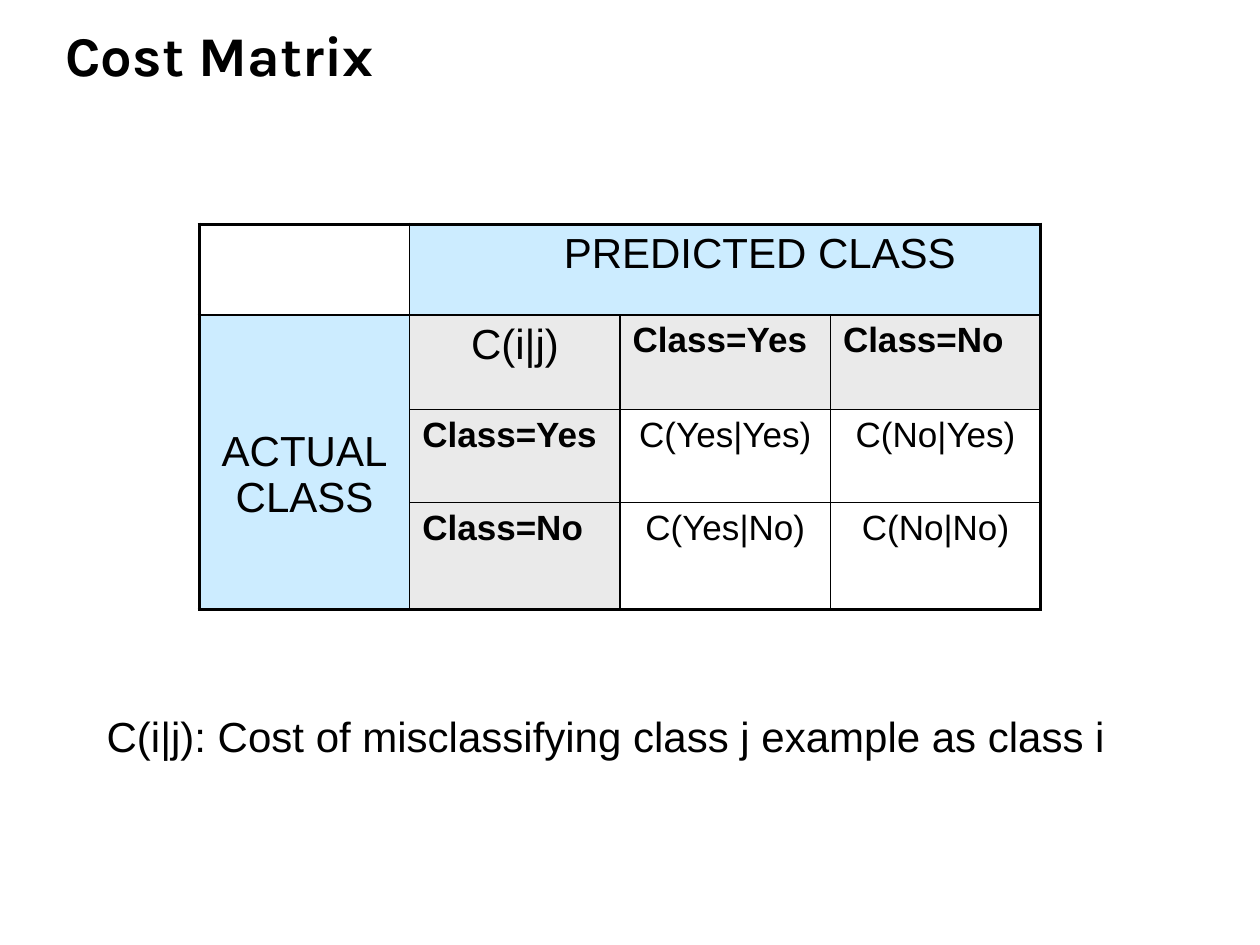
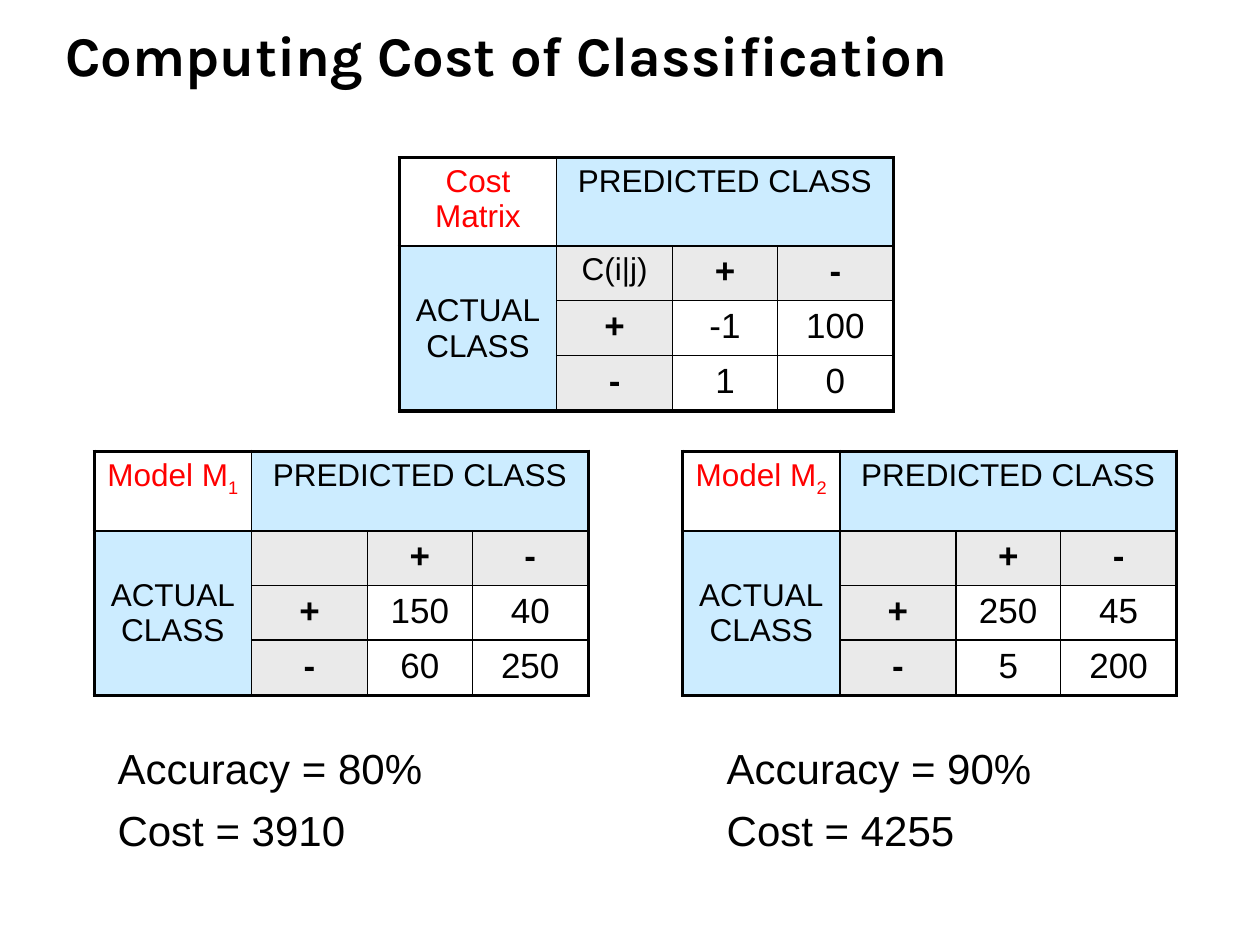
from lxml import etree
from pptx import Presentation
from pptx.dml.color import RGBColor
from pptx.enum.text import MSO_ANCHOR, PP_ALIGN
from pptx.oxml.ns import qn
from pptx.util import Cm, Pt

LEFT, CENTER = PP_ALIGN.LEFT, PP_ALIGN.CENTER
TOP, MIDDLE, BOTTOM = MSO_ANCHOR.TOP, MSO_ANCHOR.MIDDLE, MSO_ANCHOR.BOTTOM
COLORS = {"text": "000000", "corner": "FF0000", "head": "CCECFF", "label": "EAEAEA"}
OUTER, INNER = Pt(2.25), Pt(1)


def add_run(p, text, size, color="text", bold=False, font="Arial"):
    r = p.add_run()
    r.text = text
    r.font.name = font
    r.font.size = Pt(size)
    r.font.bold = bold
    r.font.color.rgb = RGBColor.from_string(COLORS[color])
    return r


def add_box(s, left, top, width, height):
    """Add an empty wrapping text box, measured in cm, and return its frame."""
    tf = s.shapes.add_textbox(Cm(left), Cm(top), Cm(width), Cm(height)).text_frame
    tf.word_wrap = True
    return tf


prs = Presentation()
prs.slide_width, prs.slide_height = Cm(25.4), Cm(19.05)

# Slides with their titles
slides = []
for title in ("Cost Matrix", "Computing Cost of Classification"):
    s = prs.slides.add_slide(prs.slide_layouts[6])
    tf = add_box(s, 1.07, 0.43, 23.01, 1.47)
    tf.vertical_anchor = BOTTOM
    p = tf.paragraphs[0]
    p.line_spacing = Pt(36)
    add_run(p, title, 32, bold=True, font="Karla")
    slides.append(s)
cost_slide, computing_slide = slides

# Matrices: the layout is shared by all tables of one slide
wide = {"cols": [4.24] * 4, "rows": [1.83, 1.9, 1.88, 2.16], "head_size": 24,
        "label_align": LEFT, "head_indent": 1.4, "actual_drop": 0.5}
small = {"cols": [3.17, 2.34, 2.11, 2.34], "rows": [1.6, 1.04, 1.07, 1.12],
         "head_size": 18, "label_align": CENTER, "head_indent": 0, "actual_drop": 0}
yes_no = ("Class=Yes", "Class=No")
signs = ("+", "-")

# slide, layout, left, top, corner, subscript, inner corner, class labels, values
matrices = [
    (cost_slide, wide, 4.02, 4.52, "", "", "C(i|j)", yes_no,
     [("C(Yes|Yes)", "C(No|Yes)"), ("C(Yes|No)", "C(No|No)")]),
    (computing_slide, small, 8.05, 3.18, "Cost Matrix", "", "C(i|j)", signs,
     [("-1", "100"), ("1", "0")]),
    (computing_slide, small, 1.9, 9.1, "Model M", "1", "", signs,
     [("150", "40"), ("60", "250")]),
    (computing_slide, small, 13.76, 9.1, "Model M", "2", "", signs,
     [("250", "45"), ("5", "200")]),
]

for s, layout, left, top, corner, subscript, inner, labels, values in matrices:
    cols, rows, head_size = layout["cols"], layout["rows"], layout["head_size"]
    frame = s.shapes.add_table(4, 4, Cm(left), Cm(top), Cm(sum(cols)), Cm(sum(rows)))
    table = frame.table
    table.first_row = table.horz_banding = False
    for column, width in zip(table.columns, cols):
        column.width = Cm(width)
    for row, height in zip(table.rows, rows):
        row.height = Cm(height)
    table.cell(0, 1).merge(table.cell(0, 3))
    table.cell(1, 0).merge(table.cell(3, 0))

    grid = [
        [corner, "PREDICTED CLASS", "", ""],
        ["ACTUAL\nCLASS", inner, *labels],
        ["", labels[0], *values[0]],
        ["", labels[1], *values[1]],
    ]
    for i, texts in enumerate(grid):
        for j, text in enumerate(texts):
            cell = table.cell(i, j)
            is_head = (i == 0) != (j == 0)
            is_label = i > 0 and j > 0 and (i == 1 or j == 1)
            is_class = is_label and (i, j) != (1, 1)
            if is_head or is_label:
                cell.fill.solid()
                fill = COLORS["head" if is_head else "label"]
                cell.fill.fore_color.rgb = RGBColor.from_string(fill)
            else:
                cell.fill.background()

            # Heavy frame around the table, thin lines inside
            last_row = i + cell.span_height == 4 if cell.is_merge_origin else i == 3
            last_col = j + cell.span_width == 4 if cell.is_merge_origin else j == 3
            edges = {"a:lnL": j == 0, "a:lnR": last_col, "a:lnT": i == 0, "a:lnB": last_row}
            tc_pr = cell._tc.get_or_add_tcPr()
            for position, (tag, is_outer) in enumerate(edges.items()):
                ln = etree.Element(qn(tag), w=str(OUTER if is_outer else INNER))
                solid = etree.SubElement(ln, qn("a:solidFill"))
                etree.SubElement(solid, qn("a:srgbClr"), val=COLORS["text"])
                tc_pr.insert(position, ln)

            if not text:
                continue
            cell.vertical_anchor = TOP
            p = cell.text_frame.paragraphs[0]
            p.alignment = layout["label_align"] if is_class else CENTER
            size = 20 if i > 0 and j > 0 and (i, j) != (1, 1) else head_size
            color = "corner" if i == j == 0 else "text"
            for n, line in enumerate(text.split("\n")):
                if n:
                    p.add_line_break()
                add_run(p, line, size, color, bold=is_class)

    if subscript:
        r = add_run(table.cell(0, 0).text_frame.paragraphs[0], subscript, head_size, "corner")
        r.font._element.set("baseline", "-25000")
    table.cell(0, 1).margin_left = Cm(0.25 + layout["head_indent"])
    actual = table.cell(1, 0)
    actual.vertical_anchor = MIDDLE
    actual.margin_top = Cm(0.13 + layout["actual_drop"])

# Text below the matrices: slide, left, top, width, height, lines
notes = [
    (cost_slide, 1.9, 14.2, 21.8, 2.54,
     ["C(i|j): Cost of misclassifying class j example as class i"]),
    (computing_slide, 2.12, 14.85, 8.47, 2.75, ["Accuracy = 80%", "Cost = 3910"]),
    (computing_slide, 14.4, 14.85, 8.47, 2.75, ["Accuracy = 90%", "Cost = 4255"]),
]
for s, left, top, width, height, lines in notes:
    tf = add_box(s, left, top, width, height)
    for n, line in enumerate(lines):
        p = tf.add_paragraph() if n else tf.paragraphs[0]
        if n:
            p.space_before = Pt(2.4)
        p.space_after = Pt(4)
        add_run(p, line, 24)

prs.save("out.pptx")
